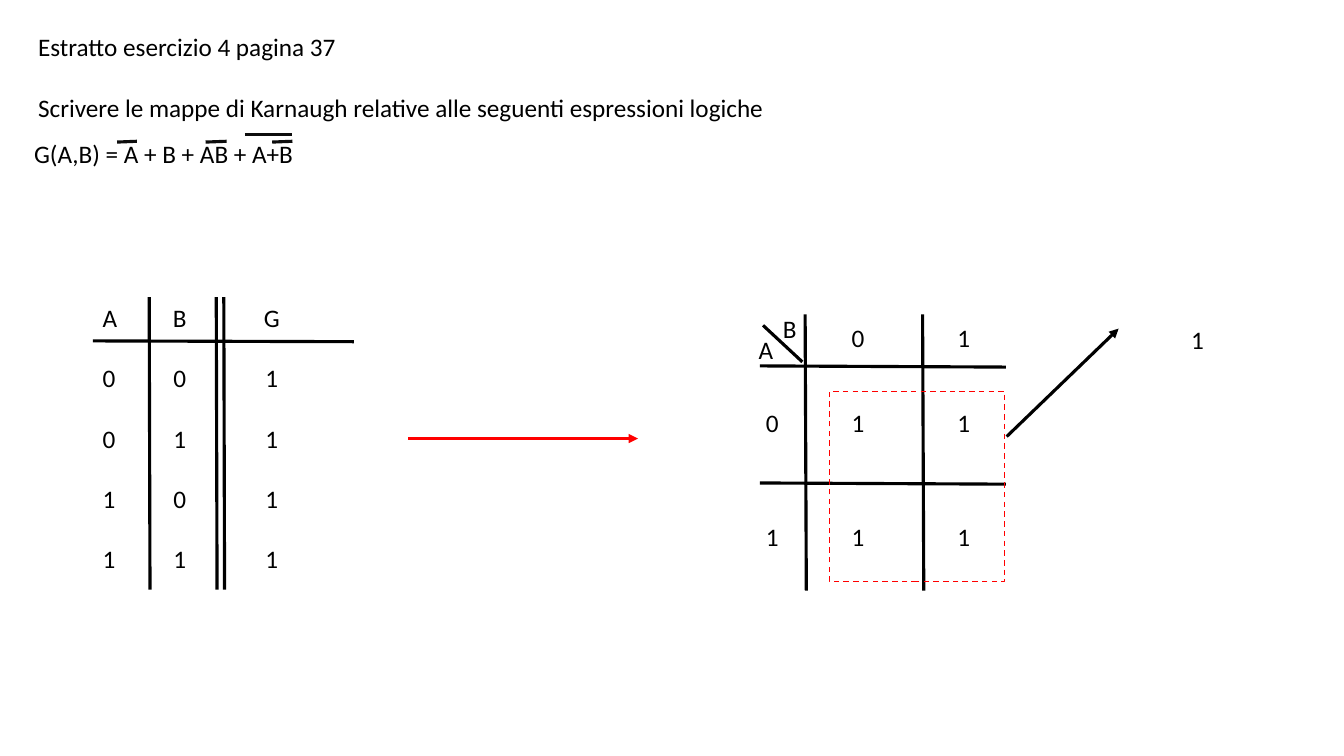
from lxml import etree
from pptx import Presentation
from pptx.dml.color import RGBColor as Rgb
from pptx.enum.dml import MSO_LINE as Dash
from pptx.enum.shapes import MSO_CONNECTOR as Link, MSO_SHAPE as Shape
from pptx.enum.text import MSO_AUTO_SIZE as Fit
from pptx.oxml.ns import qn
from pptx.util import Cm, Pt

HUES = {"ink": "000000", "bar": "0D0D0D", "red": "FF0000"}

deck = Presentation()
deck.slide_width, deck.slide_height = Cm(33.87), Cm(19.05)
slide = deck.slides.add_slide(deck.slide_layouts[6])


def write(x, y, w, h, text, gap=0, tabs=()):
    box = slide.shapes.add_textbox(Cm(x), Cm(y), Cm(w), Cm(h))
    frame = box.text_frame
    frame.text = text
    frame.word_wrap = True
    frame.auto_size = Fit.SHAPE_TO_FIT_TEXT
    for i, para in enumerate(frame.paragraphs):
        if i and gap:
            para.space_before = Pt(gap)
        if tabs:
            stops = etree.SubElement(para._p.get_or_add_pPr(), qn("a:tabLst"))
            for pos in tabs:
                etree.SubElement(stops, qn("a:tab"), pos=str(Cm(pos)), algn="ctr")
        for run in para.runs:
            run.font.size = Pt(18)
            run.font.name = "Calibri"
            run.font.color.rgb = Rgb.from_string(HUES["ink"])


def draw(x1, y1, x2, y2, hue="ink", arrow=False):
    line = slide.shapes.add_connector(Link.STRAIGHT, Cm(x1), Cm(y1), Cm(x2), Cm(y2))
    line.line.width = Pt(2.25)
    line.line.color.rgb = Rgb.from_string(HUES[hue])
    if arrow:
        etree.SubElement(line.line._get_or_add_ln(), qn("a:tailEnd"), type="triangle")
    etree.SubElement(line._element.spPr, qn("a:effectLst"))


# Task and formula
write(0.71, 0.66, 32.74, 2.57,
      "Estratto esercizio 4 pagina 37\n"
      "Scrivere le mappe di Karnaugh relative alle seguenti espressioni logiche", gap=22)
write(0.61, 3.37, 7.52, 1.02, "G(A,B) = A + B + AB + A+B")

# Negation bars
for x1, x2 in ((2.95, 3.45), (5.18, 5.71), (6.86, 7.37)):
    draw(x1, 3.58, x2, 3.56, "bar")
draw(6.17, 3.4, 7.37, 3.4, "bar")

# Truth table
rows = ["A\tB\tG"] + [f"{a}\t{b}\t1" for a in (0, 1) for b in (0, 1)]
write(2.34, 7.49, 6.35, 7.16, "\n".join(rows), gap=21.5, tabs=(1.94, 4.26))
for x in (3.76, 5.45, 5.64):
    draw(x, 7.49, x + 0.02, 14.86)
draw(8.92, 8.61, 2.34, 8.59)

# Arrow from table to map
draw(10.29, 11.05, 16.08, 11.05, "red", arrow=True)

# Karnaugh map
for x in (20.29, 23.25):
    draw(x, 7.92, x + 0.03, 14.88)
for y in (9.22, 12.17):
    draw(19.15, y, 25.35, y + 0.03)
write(18.87, 8.31, 1.14, 1.02, "A")
draw(19.23, 8.2, 20.22, 9.12)
write(19.48, 7.77, 1.02, 1.02, "B")

cells = (("", "0", "1"), ("0", "1", "1"), ("1", "1", "1"))
for y, row in zip((8, 10.13, 13), cells):
    for x, mark in zip((19.05, 21.21, 23.88), row):
        if mark:
            write(x, y, 1.02, 1.02, mark)

# Grouping and its result
group = slide.shapes.add_shape(Shape.RECTANGLE, Cm(20.9), Cm(9.86), Cm(4.42), Cm(4.8))
group.shadow.inherit = False
group.fill.background()
group.line.color.rgb = Rgb.from_string(HUES["red"])
group.line.width = Pt(1)
group.line.dash_style = Dash.DASH
draw(25.37, 11, 28.19, 8.28, arrow=True)
write(29.77, 8.05, 1.4, 1.02, "1")

deck.save("out.pptx")
